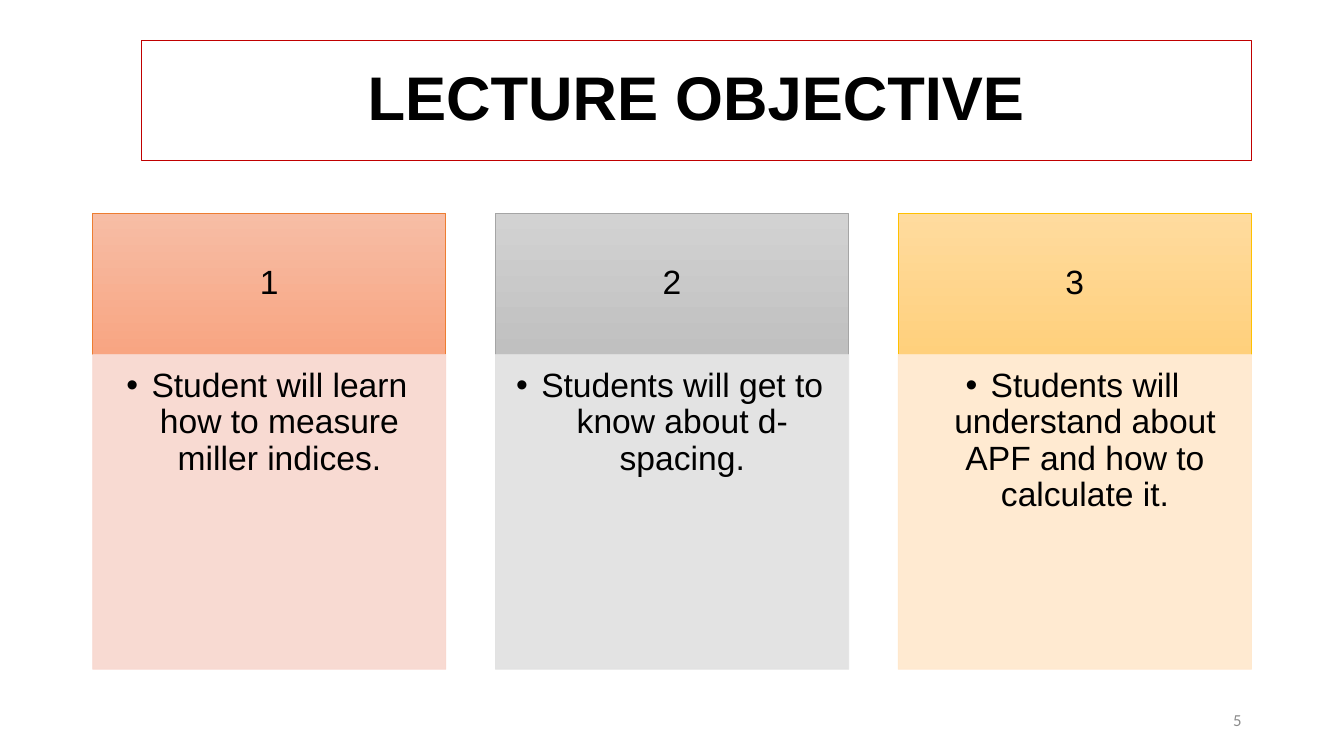
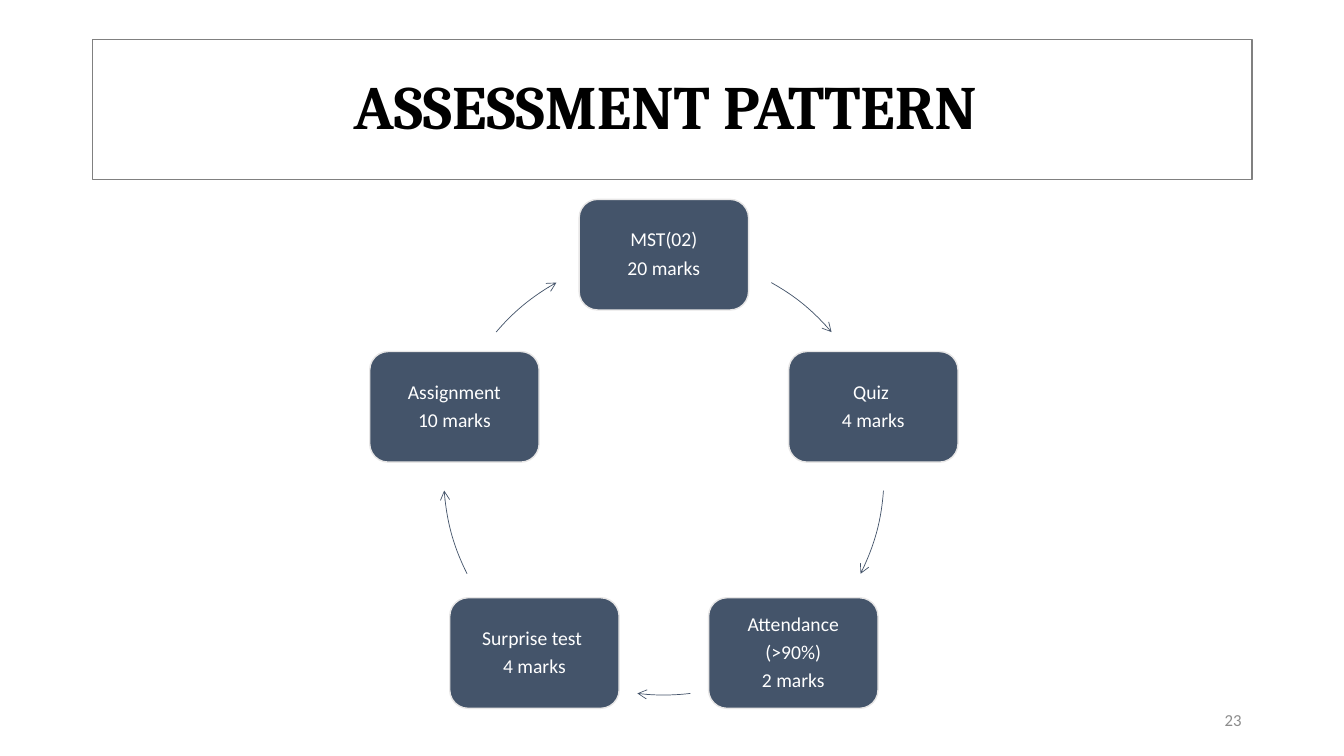
from math import cos, radians, sin

from lxml.etree import SubElement
from pptx import Presentation
from pptx.dml.color import RGBColor
from pptx.enum.shapes import MSO_SHAPE as Preset
from pptx.enum.text import MSO_ANCHOR as Anchor, MSO_AUTO_SIZE as AutoSize, PP_ALIGN as Align
from pptx.oxml.ns import qn
from pptx.util import Pt

COLORS = {
    "ink": "000000", "white": "FFFFFF", "number": "8C8C8C",
    "red": "C00000", "grey": "808080", "slate": "44546A", "pale": "E7E6E6",
}

OBJECTIVES = {
    "title": "LECTURE OBJECTIVE", "font": "Arial", "number": "5",
    "frame": (101, 28.8, 793, 86), "line": (COLORS["red"], 0.75),
}
# number, objective, header gradient, header line, body fill
CARDS = [
    ("1", "Student will learn how to measure miller indices.",
     ("F7BDA5", "F8A582"), "ED7D31", "F8D7CE"),
    ("2", "Students will get to know about d- spacing.",
     ("D2D2D2", "C0C0C0"), "A5A5A5", "E1E1E1"),
    ("3", "Students will understand about APF and how to calculate it.",
     ("FFDB9E", "FFD07C"), "FFC000", "FFE8CC"),
]
CARD_LEFT, CARD_TOP, CARD_WIDTH, CARD_PITCH = 66.2, 152.3, 252.3, 287.7
HEADER_HEIGHT, BODY_HEIGHT = 101, 224.8

ASSESSMENT = {
    "title": "ASSESSMENT PATTERN ", "font": "Cambria", "number": "23",
    "frame": (66.2, 28.4, 828, 100), "line": (COLORS["grey"], 1),
}
# Clockwise from the top
STEPS = [
    ["MST(02)", "20 marks"],
    ["Quiz ", "4 marks"],
    ["Attendance", "(>90%)", "2 marks"],
    ["Surprise test ", "4 marks"],
    ["Assignment", "10 marks"],
]
# Start and end of each arrow, in degrees clockwise from the top
ARROWS = [(29.2, 49.6), (94.1, 116.7), (173.1, 186.9), (243.3, 265.9), (310.4, 330.8)]
CENTER_X, CENTER_Y, RADIUS = 474.2, 339.2, 157.3
STEP_WIDTH, STEP_HEIGHT = 121, 79


def rgb(color):
    return RGBColor.from_string(color)


def write(shape, lines, font, size, color, insets=(7.2, 3.6, 7.2, 3.6),
          align=Align.CENTER, anchor=Anchor.MIDDLE, bold=False, gap=0):
    frame = shape.text_frame
    frame.word_wrap, frame.auto_size = True, AutoSize.NONE
    frame.vertical_anchor = anchor
    frame.margin_left, frame.margin_top, frame.margin_right, frame.margin_bottom = map(Pt, insets)
    frame.text = "\n".join(lines)
    for para in frame.paragraphs:
        para.alignment, para.line_spacing, para.space_after = align, 0.9, Pt(gap)
        para.font.name, para.font.size, para.font.bold = font, Pt(size), bold
        para.font.color.rgb = rgb(color)


def outline(shape, color, width):
    shape.line.color.rgb = rgb(color)
    shape.line.width = Pt(width)


def add_box(page, preset, frame, line, fill=None):
    """Add a shape; a pair of fill colours makes a top-to-bottom gradient."""
    box = page.shapes.add_shape(preset, *map(Pt, frame))
    box.shadow.inherit = False
    outline(box, *line)
    if fill is None:
        box.fill.background()
    elif isinstance(fill, tuple):
        box.fill.gradient()
        box.fill.gradient_angle = 270
        for stop, color in zip(box.fill.gradient_stops, fill):
            stop.color.rgb = rgb(color)
    else:
        box.fill.solid()
        box.fill.fore_color.rgb = rgb(fill)
    return box


def set_opacity(shape, percent):
    for color in shape._element.spPr.iter(qn("a:srgbClr")):
        SubElement(color, qn("a:alpha"), val=str(percent * 1000))


def add_bullet(para):
    para.level = 1
    props = para._p.get_or_add_pPr()
    props.set("marL", str(Pt(18)))
    props.set("indent", str(Pt(-18)))
    SubElement(props, qn("a:buFont"), typeface="Arial")
    SubElement(props, qn("a:buChar"), char="•")


def add_page(deck, content):
    """Add a slide with its framed title and its number."""
    page = deck.slides.add_slide(deck.slide_layouts[5])
    title = page.shapes.title
    title.left, title.top, title.width, title.height = map(Pt, content["frame"])
    outline(title, *content["line"])
    write(title, [content["title"]], content["font"], 44, COLORS["ink"], bold=True)
    number = page.shapes.add_textbox(Pt(678), Pt(501), Pt(216), Pt(28.8))
    write(number, [content["number"]], "Calibri", 12, COLORS["number"], align=Align.RIGHT)
    return page


def add_card(page, index, number, objective, gradient, edge, tint):
    left = CARD_LEFT + index * CARD_PITCH
    header = add_box(page, Preset.RECTANGLE, (left, CARD_TOP, CARD_WIDTH, HEADER_HEIGHT),
                     (edge, 0.5), gradient)
    write(header, [number], "Arial", 24, COLORS["ink"], (13.5, 8, 13.5, 8), gap=8)
    body = add_box(page, Preset.RECTANGLE,
                   (left, CARD_TOP + HEADER_HEIGHT, CARD_WIDTH, BODY_HEIGHT), (tint, 0.5), tint)
    set_opacity(body, 90)
    write(body, [objective], "Arial", 24, COLORS["ink"], (10, 10, 13.5, 15), anchor=Anchor.TOP)
    add_bullet(body.text_frame.paragraphs[0])


def add_step(page, degrees, lines):
    x = CENTER_X + RADIUS * sin(radians(degrees))
    y = CENTER_Y - RADIUS * cos(radians(degrees))
    frame = (x - STEP_WIDTH / 2, y - STEP_HEIGHT / 2, STEP_WIDTH, STEP_HEIGHT)
    step = add_box(page, Preset.ROUNDED_RECTANGLE, frame, (COLORS["pale"], 1), COLORS["slate"])
    write(step, lines, "Calibri", 14, COLORS["white"], (8, 8, 8, 8), gap=5)


def add_arc_arrow(page, *ends):
    frame = (CENTER_X - RADIUS, CENTER_Y - RADIUS, 2 * RADIUS, 2 * RADIUS)
    arrow = add_box(page, Preset.ARC, frame, (COLORS["slate"], 0.5))
    for index, degrees in enumerate(ends):
        # Arc angles run from three o'clock; one degree is 0.6 adjustment units
        arrow.adjustments[index] = (degrees - 90) % 360 * 0.6
    SubElement(arrow.line._get_or_add_ln(), qn("a:tailEnd"), type="arrow")


def main():
    deck = Presentation()
    deck.slide_width, deck.slide_height = Pt(960), Pt(540)

    page = add_page(deck, OBJECTIVES)
    for index, card in enumerate(CARDS):
        add_card(page, index, *card)

    page = add_page(deck, ASSESSMENT)
    for index, (lines, arrow) in enumerate(zip(STEPS, ARROWS)):
        add_step(page, index * 360 / len(STEPS), lines)
        add_arc_arrow(page, *arrow)

    deck.save("out.pptx")


if __name__ == "__main__":
    main()
